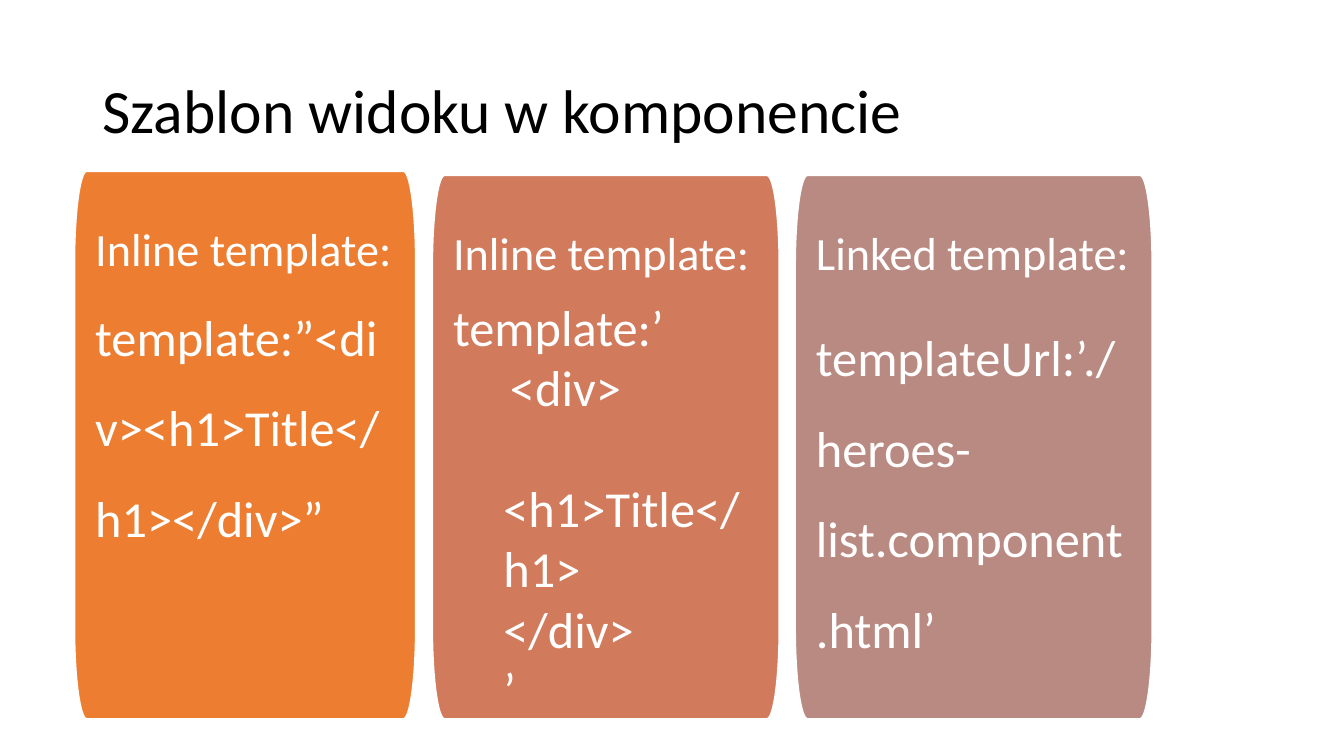
from dataclasses import dataclass

from lxml import etree
from pptx import Presentation
from pptx import util as u
from pptx.dml.color import RGBColor
from pptx.enum import text
from pptx.oxml import ns

FONT = "Calibri"
WHITE = "FFFFFF"
BOTTOM = 513.4
CORNER_WIDTH = 8.8
CURVE = 0.55
HEADING_SIZE = 33
CODE_SIZE = 36


@dataclass
class Line:
    spans: list[tuple[str, float]]
    spacing: float = 1.0
    after: float = 0
    indent: float = 0


@dataclass
class Panel:
    left: float
    top: float
    width: float
    fill: str
    lines: list[Line]


def colour(value: str) -> RGBColor:
    return RGBColor.from_string(value)


def add_span(para, content: str, *, size: float, fill: str) -> None:
    span = para.add_run()
    span.text = content
    span.font.name = FONT
    span.font.size = u.Pt(size)
    span.font.color.rgb = colour(fill)


def fill_frame(frame, lines: list[Line], *, fill: str, inset: tuple[float, float],
               anchor: text.MSO_ANCHOR) -> None:
    frame.word_wrap = True
    frame.auto_size = text.MSO_AUTO_SIZE.NONE
    frame.vertical_anchor = anchor
    frame.margin_left = frame.margin_right = u.Pt(inset[0])
    frame.margin_top = frame.margin_bottom = u.Pt(inset[1])
    for index, line in enumerate(lines):
        para = frame.add_paragraph() if index else frame.paragraphs[0]
        para.alignment = text.PP_ALIGN.LEFT
        para.line_spacing = line.spacing
        para.space_after = u.Pt(line.after)
        if line.indent:
            para.level = 1
            properties = para._p.get_or_add_pPr()
            properties.set("marL", str(u.Pt(line.indent)))
            properties.set("indent", "0")
        for content, size in line.spans:
            add_span(para, content, size=size, fill=fill)


def panel_outline(panel: Panel) -> list[tuple[int, int]]:
    corner_height = (BOTTOM - panel.top) / 6
    right = panel.left + panel.width
    corners = [(panel.left, panel.top, 1, 1), (right, panel.top, -1, 1),
               (right, BOTTOM, -1, -1), (panel.left, BOTTOM, 1, -1)]
    points = []
    for x, y, inward, downward in corners:
        across, down = inward * CORNER_WIDTH, downward * corner_height
        bend = [(x, y + down), (x, y + down * (1 - CURVE)),
                (x + across * (1 - CURVE), y), (x + across, y)]
        points += bend if inward == downward else reversed(bend)
    return [(u.Pt(x), u.Pt(y)) for x, y in points]


def round_corners(shape) -> None:
    segments = list(shape._element.iter(ns.qn("a:lnTo")))
    for first in range(0, len(segments), 4):
        bend = segments[first:first + 3]
        curve = etree.Element(ns.qn("a:cubicBezTo"))
        bend[0].addprevious(curve)
        for segment in bend:
            curve.append(segment[0])
            segment.getparent().remove(segment)


def add_panel(page, panel: Panel) -> None:
    start, *others = panel_outline(panel)
    builder = page.shapes.build_freeform(*start)
    builder.add_line_segments(others, close=True)
    shape = builder.convert_to_shape()
    round_corners(shape)
    shape.shadow.inherit = False
    shape.fill.solid()
    shape.fill.fore_color.rgb = colour(panel.fill)
    shape.line.color.rgb = colour(WHITE)
    shape.line.width = u.Pt(1)
    fill_frame(shape.text_frame, panel.lines, fill=WHITE, inset=(14.7, 15),
               anchor=text.MSO_ANCHOR.TOP)


def heading(content: str) -> Line:
    return Line([(content, HEADING_SIZE)], spacing=1.5, after=11.5)


def code(content: str, indent: float = 0) -> Line:
    return Line([(content, CODE_SIZE)], indent=indent)


PANELS = [
    Panel(53.3, 122.4, 243.6, "ED7D31", [
        Line([("Inline template:", HEADING_SIZE), (" ", 18),
              ("template:”<div><h1>Title</h1></div>”", CODE_SIZE)], spacing=1.5),
    ]),
    Panel(308.9, 125.3, 247.7, "D17B5C", [
        heading("Inline template:"),
        code("template:’"),
        code("     <div>"),
        code("\t<h1>Title</h1>", 36),
        code("</div>", 36),
        code("’", 36),
    ]),
    Panel(568.1, 125.3, 254.9, "B98A82", [
        heading("Linked template:"),
        Line([("templateUrl:’./heroes-list.component.html’", CODE_SIZE)], spacing=1.5),
    ]),
]


def main() -> None:
    deck = Presentation()
    deck.slide_width, deck.slide_height = u.Pt(960), u.Pt(540)
    page = deck.slides.add_slide(deck.slide_layouts[6])
    box = page.shapes.add_textbox(u.Pt(66), u.Pt(28.75), u.Pt(828), u.Pt(104.4))
    title = Line([("Szablon widoku w komponencie", 44)], spacing=0.9)
    fill_frame(box.text_frame, [title], fill="000000", inset=(7.2, 3.6),
               anchor=text.MSO_ANCHOR.MIDDLE)
    for panel in PANELS:
        add_panel(page, panel)
    deck.save("out.pptx")


if __name__ == "__main__":
    main()
